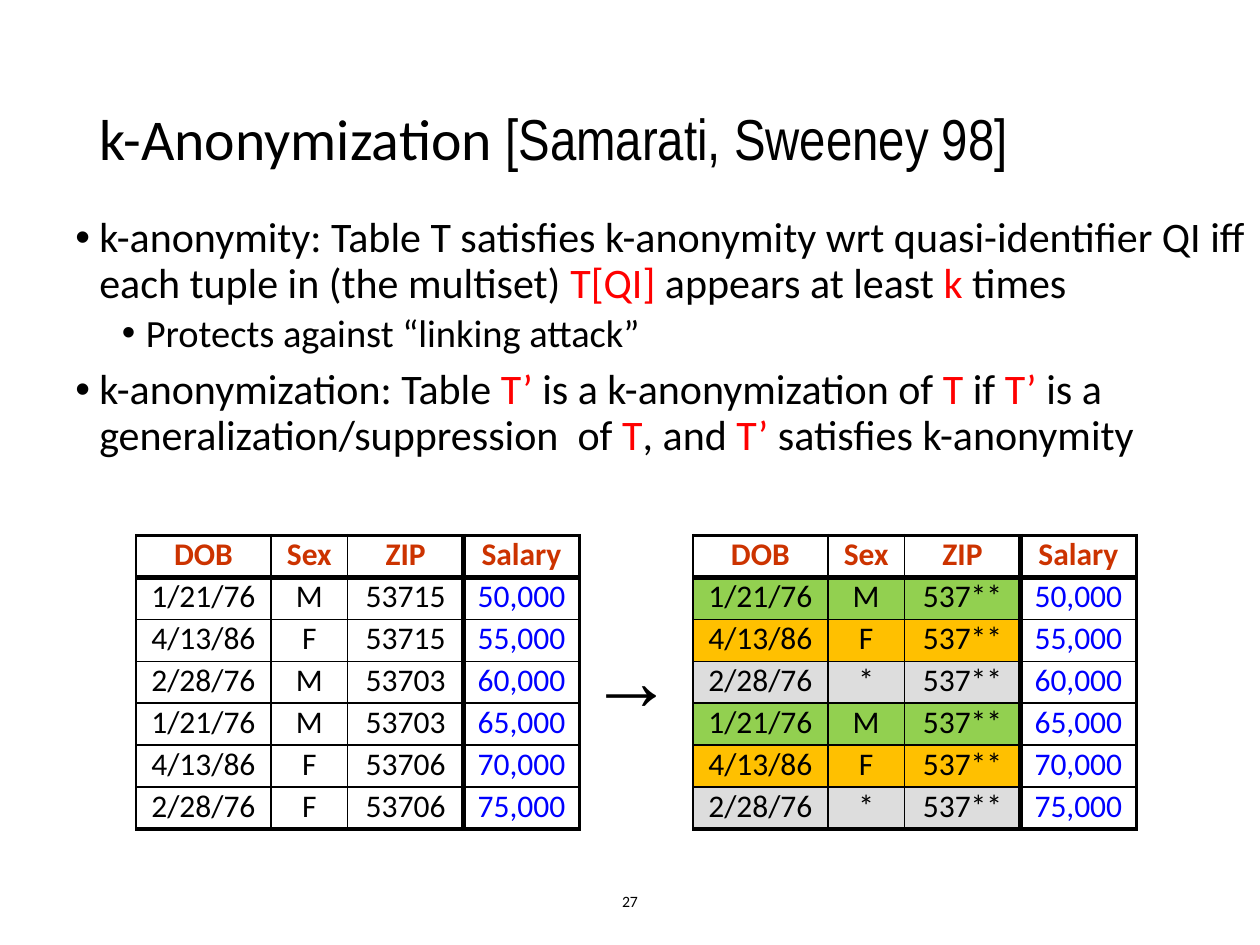
from pptx import Presentation
from pptx.dml.color import RGBColor
from pptx.enum.text import MSO_ANCHOR, MSO_AUTO_SIZE, PP_ALIGN
from pptx.oxml.ns import qn
from pptx.util import Inches, Pt
from lxml import etree

LEFT, CENTER = PP_ALIGN.LEFT, PP_ALIGN.CENTER
MIDDLE = MSO_ANCHOR.MIDDLE
NO_FIT = MSO_AUTO_SIZE.NONE


class Theme:
    font, narrow, symbol = "Calibri", "Arial Narrow", "Arial"
    black, red, blue, head = "000000", "FF0000", "0000FF", "CC3300"
    green, amber, grey = "92D050", "FFC000", "DDDDDD"
    title, body, sub, cell, arrow, number = 33, 24, 22, 18, 48, 9
    thin, edge, thick = 1, 2.25, 3


def style(font, size, color, name=Theme.font):
    font.size, font.name = Pt(size), name
    font.color.rgb = RGBColor.from_string(color)


def border(cell, side, width):
    line = etree.SubElement(cell._tc.get_or_add_tcPr(), qn(f"a:ln{side}"), w=str(Pt(width)))
    fill = etree.SubElement(line, qn("a:solidFill"))
    etree.SubElement(fill, qn("a:srgbClr"), val=Theme.black)


deck = Presentation()
deck.slide_width, deck.slide_height = Inches(10), Inches(7.5)
slide = deck.slides.add_slide(deck.slide_layouts[5])
shapes = slide.shapes

# Title
title = shapes.title
title.left, title.top = Inches(0.69), Inches(0.4)
title.width, title.height = Inches(8.62), Inches(1.45)
frame = title.text_frame
frame.auto_size, frame.vertical_anchor = NO_FIT, MIDDLE
para = frame.paragraphs[0]
para.alignment, para.line_spacing = LEFT, 0.9
style(para.font, Theme.title, Theme.black)
for text, name in (("k-Anonymization ", Theme.font), ("[Samarati, Sweeney 98]", Theme.narrow)):
    run = para.add_run()
    run.text, run.font.name = text, name

# Bullets: level, size, space before, then runs that alternate black and red
bullets = [
    (0, Theme.body, 0, [
        "k-anonymity: Table T satisfies k-anonymity wrt quasi-identifier QI iff "
        "each tuple in (the multiset) ", "T[QI]", " appears at least ", "k", " times"]),
    (1, Theme.sub, 3.8, ["Protects against “linking attack”"]),
    (0, Theme.body, 7.5, [
        "k-anonymization: Table ", "T’ ", "is a k-anonymization of ", "T", " if ", "T’",
        " is a generalization/suppression  of ", "T", ", and ", "T’", " satisfies k-anonymity"]),
]
body = shapes.add_textbox(Inches(0.5), Inches(1.67), Inches(9.5), Inches(2.5))
frame = body.text_frame
frame.word_wrap = True
for i, (level, size, space, texts) in enumerate(bullets):
    para = frame.add_paragraph() if i else frame.paragraphs[0]
    para.level, para.line_spacing, para.space_before = level, 0.9, Pt(space)
    props = para._p.get_or_add_pPr()
    props.set("marL", str(Inches(0.56 if level else 0.19)))
    props.set("indent", str(Inches(-0.19)))
    etree.SubElement(props, qn("a:buFont"), typeface=Theme.symbol)
    etree.SubElement(props, qn("a:buChar"), char="•")
    style(para.font, size, Theme.black)
    for j, text in enumerate(texts):
        run = para.add_run()
        run.text = text
        if j % 2:
            run.font.color.rgb = RGBColor.from_string(Theme.red)

# Tables
heads = ["DOB", "Sex", "ZIP", "Salary"]
births = ["1/21/76", "4/13/86", "2/28/76"] * 2
pays = ["50,000", "55,000", "60,000", "65,000", "70,000", "75,000"]
zips = ["53715", "53715", "53703", "53703", "53706", "53706"]
plain = [heads, *zip(births, "MFMMFF", zips, pays)]
masked = [heads, *zip(births, "MF*MF*", ["537**"] * 6, pays)]
groups = [Theme.green, Theme.amber, Theme.grey]
widths = [1.07, 0.61, 0.92, 0.92]
high = 0.333
across = [Theme.edge, Theme.thick] + [Theme.thin] * 5 + [Theme.edge]
down = [Theme.thin] * 3 + [Theme.thick, Theme.edge]

for left, rows, fills in ((1.08, plain, None), (5.5, masked, groups)):
    table = shapes.add_table(len(rows), len(heads), Inches(left), Inches(4.25),
                             Inches(sum(widths)), Inches(high * len(rows))).table
    table.first_row = table.horz_banding = False
    for col, width in zip(table.columns, widths):
        col.width = Inches(width)
    for r, row in enumerate(rows):
        table.rows[r].height = Inches(high)
        for c, text in enumerate(row):
            cell = table.cell(r, c)
            cell.margin_left = cell.margin_right = Inches(0.05)
            cell.margin_top = cell.margin_bottom = 0
            for side, width in zip("LRTB", (down[c], down[c + 1], across[r], across[r + 1])):
                border(cell, side, width)
            if fills and r and c < 3:
                cell.fill.solid()
                cell.fill.fore_color.rgb = RGBColor.from_string(fills[(r - 1) % 3])
            else:
                cell.fill.background()
            cell.text = text
            para = cell.text_frame.paragraphs[0]
            para.alignment = CENTER
            color = Theme.head if r == 0 else Theme.blue if c == 3 else Theme.black
            style(para.font, Theme.cell, color)
            para.font.bold = r == 0

# Arrow between the tables
arrow = shapes.add_textbox(Inches(4.58), Inches(4.92), Inches(0.87), Inches(0.9))
arrow.text_frame.word_wrap = False
para = arrow.text_frame.paragraphs[0]
para.text = "→"
style(para.font, Theme.arrow, Theme.black, Theme.symbol)

# Slide number
number = shapes.add_textbox(Inches(3.31), Inches(6.95), Inches(3.38), Inches(0.4))
frame = number.text_frame
frame.word_wrap, frame.vertical_anchor = True, MIDDLE
para = frame.paragraphs[0]
para.text, para.alignment = "27", CENTER
style(para.font, Theme.number, Theme.black)

deck.save("out.pptx")
